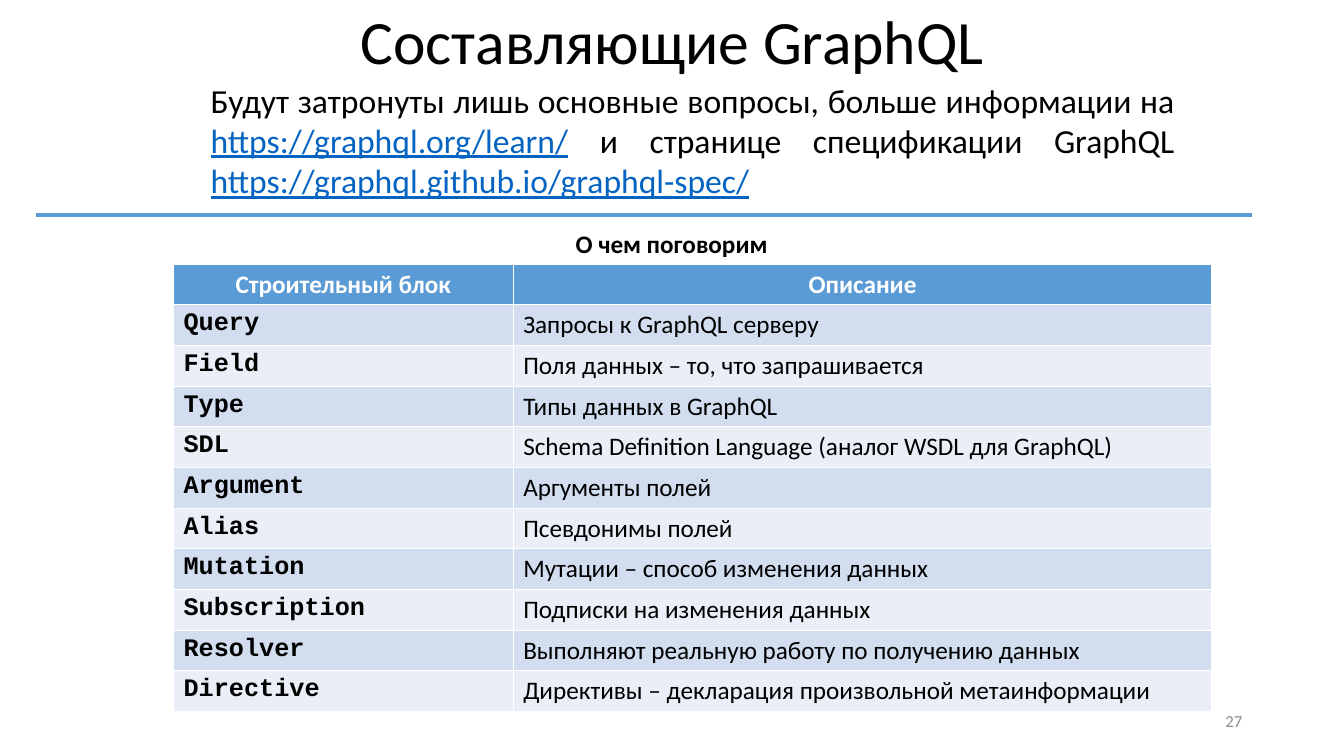
from pptx import Presentation
from pptx.dml.color import RGBColor
from pptx.enum.shapes import MSO_CONNECTOR
from pptx.enum.text import MSO_ANCHOR, PP_ALIGN
from pptx.oxml.ns import qn
from pptx.util import Inches, Pt
from lxml.etree import SubElement


def color(value):
    return RGBColor.from_string(value)


def write(paragraph, text, hue="000000", **formats):
    run = paragraph.add_run()
    run.text = text
    for name, value in {"name": "Calibri", "size": Pt(18), "bold": False, **formats}.items():
        setattr(run.font, name, value)
    run.font.color.rgb = color(hue)


presentation = Presentation()
presentation.slide_width = Inches(13.33)
presentation.slide_height = Inches(7.5)
slide = presentation.slides.add_slide(presentation.slide_layouts[5])

title = slide.shapes.title
title_box = {"left": 0.92, "top": 0, "width": 11.5, "height": 0.89}
for name, value in title_box.items():
    setattr(title, name, Inches(value))
title.text_frame.vertical_anchor = MSO_ANCHOR.MIDDLE
paragraph = title.text_frame.paragraphs[0]
paragraph.alignment = PP_ALIGN.CENTER
paragraph.line_spacing = 0.9
write(paragraph, "Составляющие GraphQL", size=Pt(44))

introduction = slide.shapes.add_textbox(Inches(1.99), Inches(0.74), Inches(9.76), Inches(1.72))
introduction.text_frame.word_wrap = True
paragraph = introduction.text_frame.paragraphs[0]
paragraph.alignment = PP_ALIGN.JUSTIFY
for text, is_link in [
    ("Будут затронуты лишь основные вопросы, больше информации на ", False),
    ("https://graphql.org/learn/", True),
    (" и странице спецификации GraphQL ", False),
    ("https://graphql.github.io/graphql-spec/", True),
]:
    write(paragraph, text, "0563C1" if is_link else "000000", size=Pt(24), underline=is_link)

page_number = slide.shapes.add_textbox(Inches(9.42), Inches(6.95), Inches(3), Inches(0.4))
page_number.text_frame.word_wrap = True
page_number.text_frame.vertical_anchor = MSO_ANCHOR.MIDDLE
paragraph = page_number.text_frame.paragraphs[0]
paragraph.alignment = PP_ALIGN.RIGHT
write(paragraph, "27", "8C8C8C", size=Pt(12))

caption = slide.shapes.add_textbox(Inches(5.61), Inches(2.22), Inches(2.12), Inches(0.4))
caption.text_frame.word_wrap = False
write(caption.text_frame.paragraphs[0], "О чем поговорим", bold=True)

divider = slide.shapes.add_connector(
    MSO_CONNECTOR.STRAIGHT, Inches(12.42), Inches(2.13), Inches(0.36), Inches(2.13)
)
divider.line.color.rgb = color("5B9BD5")
divider.line.width = Pt(2.75)
SubElement(divider.element.spPr, qn("a:effectLst"))

blocks = [
    ("Строительный блок", "Описание"),
    ("Query", "Запросы к GraphQL серверу"),
    ("Field", "Поля данных – то, что запрашивается"),
    ("Type", "Типы данных в GraphQL"),
    ("SDL", "Schema Definition Language (аналог WSDL для GraphQL)"),
    ("Argument", "Аргументы полей"),
    ("Alias", "Псевдонимы полей"),
    ("Mutation", "Мутации – способ изменения данных"),
    ("Subscription", "Подписки на изменения данных"),
    ("Resolver", "Выполняют реальную работу по получению данных"),
    ("Directive", "Директивы – декларация произвольной метаинформации"),
]
table = slide.shapes.add_table(
    len(blocks), 2, Inches(1.72), Inches(2.62), Inches(10.3), Inches(4.44)
).table
for column, width in zip(table.columns, (3.37, 6.93)):
    column.width = Inches(width)

for row_index, texts in enumerate(blocks):
    is_header = row_index == 0
    band = "5B9BD5" if is_header else ("EAEFF7", "D2DEEF")[row_index % 2]
    for column_index, text in enumerate(texts):
        cell = table.cell(row_index, column_index)
        cell.fill.solid()
        cell.fill.fore_color.rgb = color(band)
        paragraph = cell.text_frame.paragraphs[0]
        if is_header:
            paragraph.alignment = PP_ALIGN.CENTER
            write(paragraph, text, "FFFFFF", bold=True)
        elif column_index == 0:
            write(paragraph, text, name="Courier New", bold=True)
        else:
            write(paragraph, text)

presentation.save("out.pptx")
